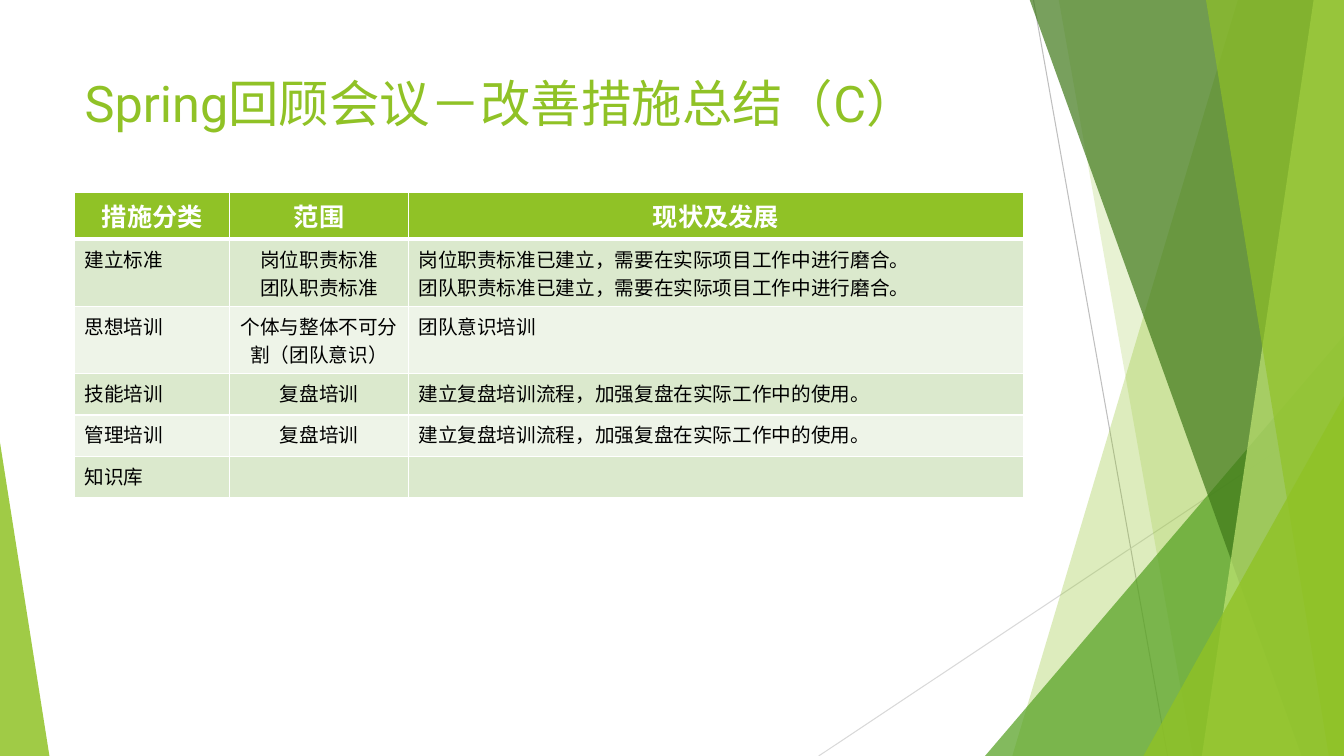
from dataclasses import dataclass

from lxml.etree import SubElement
from pptx import Presentation
from pptx.dml.color import RGBColor
from pptx.enum.shapes import MSO_CONNECTOR, MSO_SHAPE
from pptx.enum.text import MSO_ANCHOR, MSO_AUTO_SIZE, PP_ALIGN
from pptx.oxml import parse_xml
from pptx.oxml.ns import nsdecls, qn
from pptx.util import Inches, Pt

FONT = "Roboto"
LIME = "90C226"
WHITE = "FFFFFF"
WIDE, HIGH, TOP = 13.33, 7.5, -0.01


@dataclass
class Ray:
    """A thin line from one point to another."""
    start: tuple[float, float]
    end: tuple[float, float]
    color: str


@dataclass
class Band:
    """A slanted band that reaches the right edge of the slide."""
    head: float
    foot: float
    color: str
    alpha: int


@dataclass
class Wedge:
    """A right triangle that stands on the bottom edge."""
    left: float
    top: float
    width: float
    apex: float
    color: str
    alpha: int


RAYS = [
    Ray((10.25, 0), (11.58, HIGH), "BFBFBF"),
    Ray((WIDE, 4.03), (8.12, HIGH), "D9D9D9"),
]
FACETS = [
    Band(12.28, 10.04, LIME, 30),
    Band(10.5, 11.83, LIME, 20),
    Wedge(9.77, 3.33, 3.56, 1, "54A021", 72),
    Band(10.21, 12.91, "3F7819", 70),
    Band(13.03, 11.92, "C0E474", 70),
    Band(11.96, 13.18, LIME, 65),
    Wedge(11.34, 3.93, 1.99, 1, LIME, 80),
    Wedge(0, 4.39, 0.49, 0, LIME, 85),
]
FLOW = "建立复盘培训流程，加强复盘在实际工作中的使用。"
ROWS = [
    ("措施分类", "范围", "现状及发展"),
    ("建立标准", "岗位职责标准\n团队职责标准",
     "岗位职责标准已建立，需要在实际项目工作中进行磨合。\n"
     "团队职责标准已建立，需要在实际项目工作中进行磨合。"),
    ("思想培训", "个体与整体不可分割（团队意识）", "团队意识培训"),
    ("技能培训", "复盘培训", FLOW),
    ("管理培训", "复盘培训", FLOW),
    ("知识库", "", ""),
]
COLS = [1.54, 1.77, 6.1]
TALL = 0.41


def paint(form, color: str) -> None:
    """Give a fill or line format a solid colour."""
    fill = form.fill if hasattr(form, "fill") else form
    fill.solid()
    fill.fore_color.rgb = RGBColor.from_string(color)


def write(par, text: str, size: int, color: str, bold: bool = False) -> None:
    """Add one styled run to a paragraph."""
    run = par.add_run()
    run.text = text
    run.font.name = FONT
    run.font.size = Pt(size)
    run.font.bold = bold
    paint(run.font, color)


def draw_ray(slide, ray: Ray) -> None:
    """Draw one thin line."""
    ends = [Inches(n) for n in ray.start + ray.end]
    line = slide.shapes.add_connector(MSO_CONNECTOR.STRAIGHT, *ends)
    paint(line.line, ray.color)
    line.line.width = Pt(0.75)
    SubElement(line._element.spPr, qn("a:effectLst"))


def draw_facet(slide, facet: Band | Wedge) -> None:
    """Draw one clear band or wedge."""
    if isinstance(facet, Band):
        spots = [(facet.head, TOP), (WIDE, TOP), (WIDE, HIGH), (facet.foot, HIGH)]
        first, *rest = [(Inches(x), Inches(y)) for x, y in spots]
        pen = slide.shapes.build_freeform(*first)
        pen.add_line_segments(rest, close=True)
        shape = pen.convert_to_shape()
    else:
        box = (facet.left, facet.top, facet.width, HIGH - facet.top)
        shape = slide.shapes.add_shape(
            MSO_SHAPE.ISOSCELES_TRIANGLE, *[Inches(n) for n in box])
        shape.adjustments[0] = facet.apex
    shape.shadow.inherit = False
    shape.line.fill.background()
    paint(shape.fill, facet.color)
    tint = shape._element.spPr.find(qn("a:solidFill"))[0]
    SubElement(tint, qn("a:alpha")).set("val", str(facet.alpha * 1000))


def draw_title(slide) -> None:
    """Place and fill the title in front of the facets."""
    title = slide.shapes.title
    slide.shapes._spTree.append(title._element)
    title.left, title.top = Inches(0.74), Inches(0.67)
    title.width, title.height = Inches(9.4), Inches(1.44)
    frame = title.text_frame
    frame.word_wrap = True
    frame.auto_size = MSO_AUTO_SIZE.NONE
    frame.vertical_anchor = MSO_ANCHOR.TOP
    par = frame.paragraphs[0]
    par.alignment = PP_ALIGN.LEFT
    write(par, "Spring回顾会议－改善措施总结（C）", 36, LIME)


def edge(cell, row: int) -> None:
    """Rule a cell in white, with a thick line under the header."""
    widths = {"L": 1, "R": 1, "T": 3 if row == 1 else 1, "B": 1 if row else 3}
    for spot, (side, width) in enumerate(widths.items()):
        line = parse_xml(
            f'<a:ln{side} {nsdecls("a")} w="{Pt(width)}"><a:solidFill>'
            f'<a:srgbClr val="{WHITE}"/></a:solidFill></a:ln{side}>')
        cell._tc.get_or_add_tcPr().insert(spot, line)


def fill_cell(cell, text: str, row: int, col: int) -> None:
    """Write, fill and rule one cell."""
    head = row == 0
    size = 18 if head else 14
    for spot, part in enumerate(text.split("\n")):
        frame = cell.text_frame
        par = frame.add_paragraph() if spot else frame.paragraphs[0]
        par.alignment = PP_ALIGN.CENTER if head or col == 1 else PP_ALIGN.LEFT
        if part:
            write(par, part, size, WHITE if head else "000000", head)
        else:
            par._p.get_or_add_endParaRPr().set("sz", str(size * 100))
    paint(cell.fill, LIME if head else "DBE9CD" if row % 2 else "EEF4E8")
    edge(cell, row)


def draw_table(slide) -> None:
    """Draw the table of measures."""
    table = slide.shapes.add_table(
        len(ROWS), len(COLS), Inches(0.74), Inches(1.91),
        Inches(sum(COLS)), Inches(TALL * len(ROWS))).table
    for col, width in zip(table.columns, COLS):
        col.width = Inches(width)
    for row, texts in enumerate(ROWS):
        table.rows[row].height = Inches(TALL)
        for col, text in enumerate(texts):
            fill_cell(table.cell(row, col), text, row, col)


def main() -> None:
    """Build and save the slide."""
    deck = Presentation()
    deck.slide_width, deck.slide_height = Inches(WIDE), Inches(HIGH)
    slide = deck.slides.add_slide(deck.slide_layouts[5])
    paint(slide.background, WHITE)
    for ray in RAYS:
        draw_ray(slide, ray)
    for facet in FACETS:
        draw_facet(slide, facet)
    draw_title(slide)
    draw_table(slide)
    deck.save("out.pptx")


if __name__ == "__main__":
    main()
